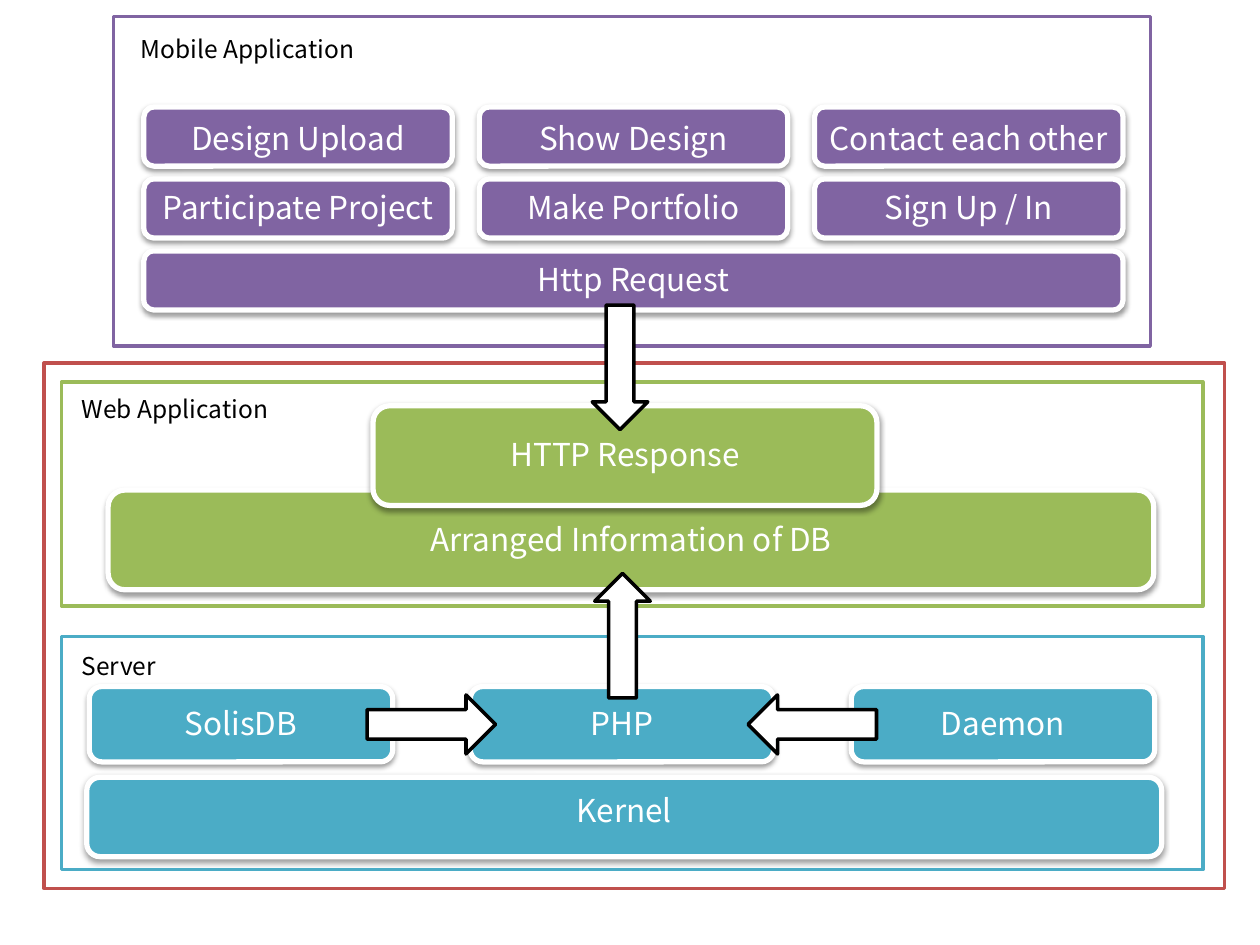
import pptx
import pptx.util
import pptx.dml.color
import pptx.enum.shapes
import pptx.enum.text
import pptx.oxml
import pptx.oxml.ns

Cm, Pt = pptx.util.Cm, pptx.util.Pt
MSO = pptx.enum.shapes.MSO_SHAPE
ALIGN = pptx.enum.text.PP_ALIGN
FONT = "Noto Sans CJK KR"
WHITE, BLACK = "FFFFFF", "000000"
RED, TEAL, GREEN, PURPLE = "C0504D", "4BACC6", "9BBB59", "8064A2"
LABEL_H, TITLE_H = 1.07, 0.89

SERVER_PARTS = ["SolisDB", "PHP", "Daemon"]
FEATURES = [
    ["Design Upload", "Show Design", "Contact each other"],
    ["Participate Project", "Make Portfolio", "Sign Up / In"],
]

server_boxes = [("Kernel", (1.75, 15.67, 21.67, 1.6), 9.04, -0.11)]
server_boxes += [(name, (1.8 + 7.68 * i, 13.84, 6.12, 1.52), 4.75, 0)
                 for i, name in enumerate(SERVER_PARTS)]
web_boxes = [
    ("Arranged Information of DB", (2.18, 9.88, 21.08, 2.01), 14.38, 0),
    ("HTTP Response", (7.52, 8.18, 10.16, 2.01), 5.49, 0),
]
app_boxes = [("Http Request", (2.9, 5.06, 19.74, 1.19), 5.49, 0)]
app_boxes += [(name, (2.9 + 6.76 * col, 2.16 + 1.45 * row, 6.22, 1.19), 6.2, 0.06 - 0.06 * row)
              for row, names in enumerate(FEATURES) for col, name in enumerate(names)]

PANELS = [
    (RED, (0.89, 7.32, 23.8, 10.59), None, None, []),
    (TEAL, (1.24, 12.83, 23.01, 4.7), "Server", (1.4, 13, 6.3), server_boxes),
    (GREEN, (1.24, 7.7, 23.01, 4.52), "Web Application", (1.4, 7.82, 6.3), web_boxes),
    (PURPLE, (2.29, 0.33, 20.9, 6.65), "Mobile Application", (2.59, 0.56, 11.76), app_boxes),
]
ARROWS = [
    (MSO.RIGHT_ARROW, (7.4, 14.01, 2.59, 1.19)),
    (MSO.LEFT_ARROW, (15.08, 14.01, 2.59, 1.19)),
    (MSO.DOWN_ARROW, (11.94, 6.15, 1.12, 2.51)),
    (MSO.UP_ARROW, (11.99, 11.56, 1.12, 2.51)),
]
SHADOW = (
    f'<a:outerShdw {pptx.oxml.ns.nsdecls("a")} blurRad="{Pt(3.1)}" dist="{Pt(1.6)}" '
    'dir="5400000" rotWithShape="0"><a:srgbClr val="000000">'
    '<a:alpha val="38000"/></a:srgbClr></a:outerShdw>'
)


def rgb(value):
    return pptx.dml.color.RGBColor.from_string(value)


def add_shape(kind, at, fill, line, width):
    sp = s.shapes.add_shape(kind, *map(Cm, at))
    sp.shadow.inherit = False
    sp.fill.solid()
    sp.fill.fore_color.rgb = rgb(fill)
    sp.line.color.rgb = rgb(line)
    sp.line.width = Pt(width)
    return sp


def add_text(text, at, size, color, align):
    tf = s.shapes.add_textbox(*map(Cm, at)).text_frame
    tf.word_wrap = True
    p = tf.paragraphs[0]
    p.alignment = align
    r = p.add_run()
    r.text = text
    r.font.name = FONT
    r.font.size = Pt(size)
    r.font.color.rgb = rgb(color)


def add_box(text, at, label_w, shift, color):
    sp = add_shape(MSO.ROUNDED_RECTANGLE, at, color, WHITE, 3)
    effects = sp._element.spPr.find(pptx.oxml.ns.qn("a:effectLst"))
    effects.append(pptx.oxml.parse_xml(SHADOW))
    x, y, w, h = at
    label = (x + (w - label_w) / 2, y + (h - LABEL_H) / 2 + shift, label_w, LABEL_H)
    add_text(text, label, 18, WHITE, ALIGN.CENTER)


prs = pptx.Presentation()
prs.slide_width, prs.slide_height = Cm(25.4), Cm(19.05)
s = prs.slides.add_slide(prs.slide_layouts[6])

for color, at, title, title_at, boxes in PANELS:
    add_shape(MSO.RECTANGLE, at, WHITE, color, 2)
    if title:
        add_text(title, (*title_at, TITLE_H), 14, BLACK, ALIGN.LEFT)
    for box in boxes:
        add_box(*box, color)

for kind, at in ARROWS:
    add_shape(kind, at, WHITE, BLACK, 2)

prs.save("out.pptx")
